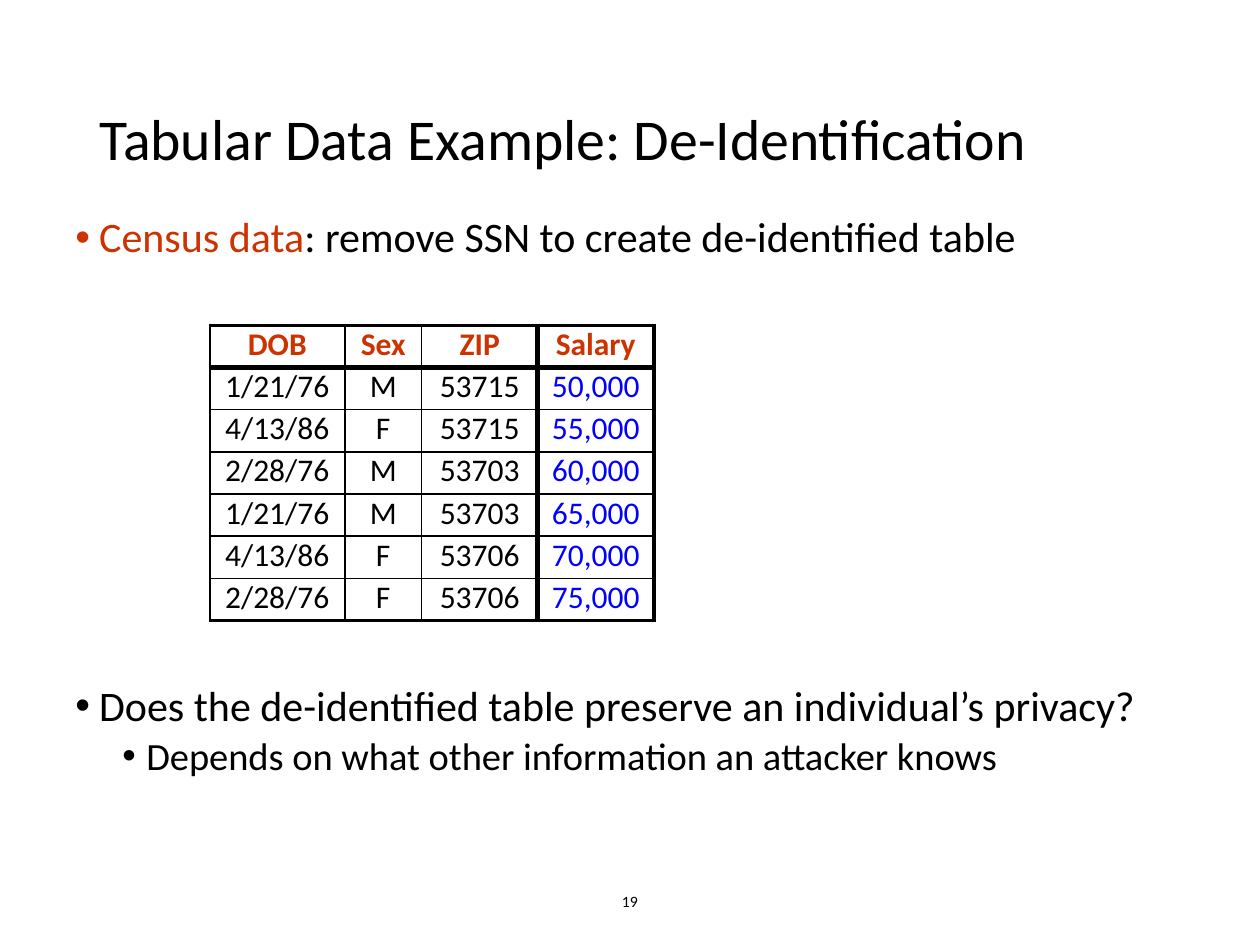
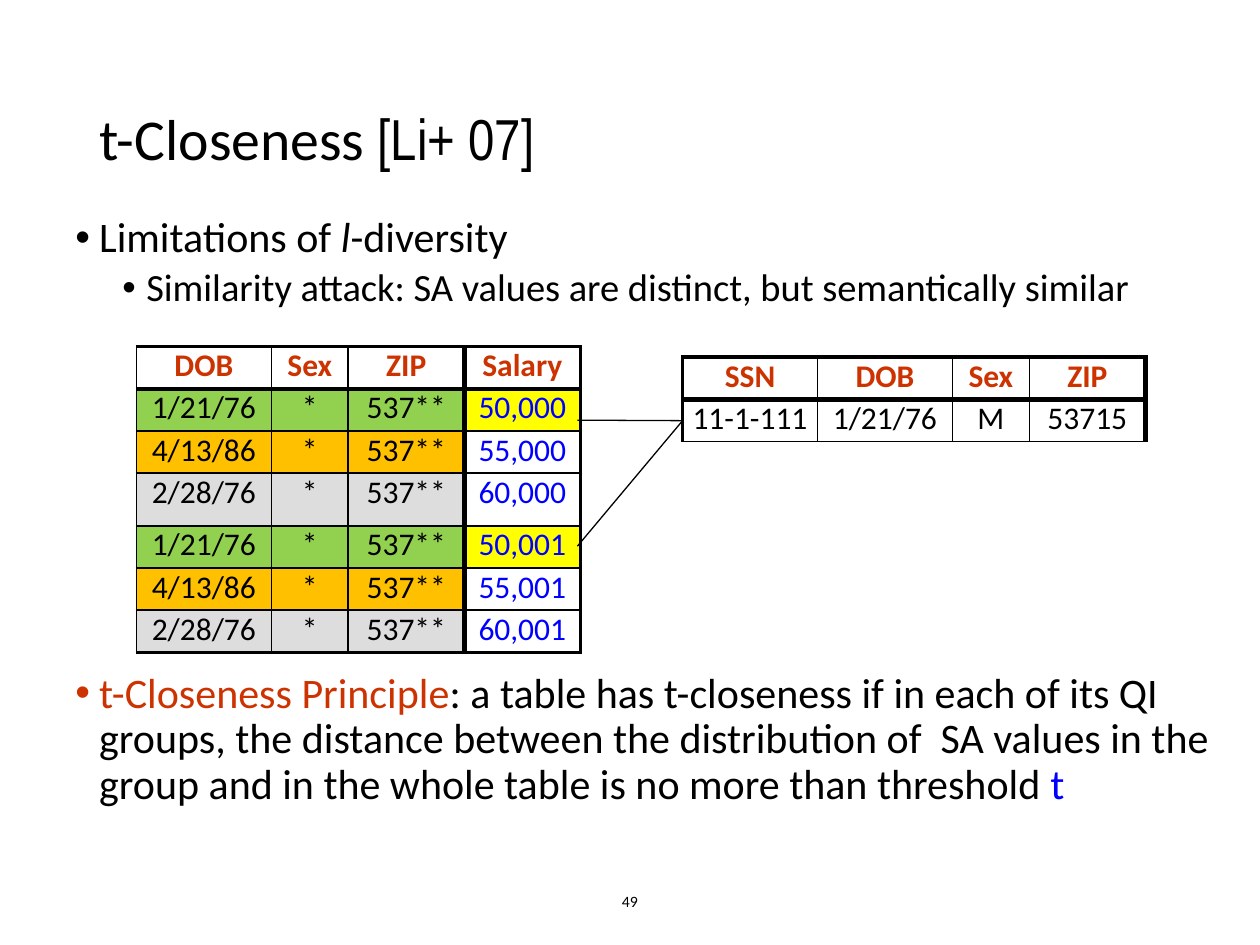
"""Build two slides on table privacy: de-identification and t-closeness."""
from dataclasses import dataclass
from itertools import cycle

from lxml.etree import SubElement as Sub
from pptx import Presentation
from pptx.dml.color import RGBColor as Rgb
from pptx.enum.shapes import MSO_CONNECTOR as Link
from pptx.enum.text import MSO_ANCHOR as Anchor, MSO_AUTO_SIZE as Fit, PP_ALIGN as Align
from pptx.oxml.ns import qn
from pptx.slide import Slide
from pptx.util import Cm, Pt

COLORS = {
    "black": "000000", "red": "CC3300", "blue": "0000FF", "green": "92D050",
    "orange": "FFC000", "gray": "DDDDDD", "yellow": "FFFF00",
}
WIDTHS = {"SSN": 2.72, "DOB": 2.72, "Sex": 1.55, "ZIP": 2.34, "Salary": 2.34}
ROW = 0.85
FACE = "Calibri"


@dataclass
class Run:
    text: str
    color: str = "black"
    italic: bool = False
    font: str = FACE


@dataclass
class Point:
    runs: list[Run]
    level: int = 0
    gap: float = 0


@dataclass
class Grid:
    left: float
    top: float
    heads: list[str]
    rows: list[list[str]]
    walls: list[float]
    base: float
    fills: tuple[str, ...] = ()
    marked: str = ""
    tall: int = 0


@dataclass
class Line:
    start: tuple[float, float]
    end: tuple[float, float]


@dataclass
class Page:
    number: str
    title: list[Run]
    points: list[Point]
    grids: list[Grid]
    lines: list[Line]


def rgb(name: str) -> Rgb:
    return Rgb.from_string(COLORS[name])


def write(para, text: str, *, size: float, color: str = "black",
          bold: bool = False, italic: bool = False, font: str = FACE) -> None:
    run = para.add_run()
    run.text = text
    face = run.font
    face.name, face.size, face.bold, face.italic = font, Pt(size), bold, italic
    face.color.rgb = rgb(color)


def write_runs(para, runs: list[Run], size: float) -> None:
    para.line_spacing = 0.9
    for run in runs:
        write(para, run.text, size=size, color=run.color, italic=run.italic, font=run.font)


def place(shape, left: float, top: float, width: float, height: float) -> None:
    shape.left, shape.top, shape.width, shape.height = map(Cm, (left, top, width, height))


def add_frame(slide: Slide, *box: float):
    frame = slide.shapes.add_textbox(*map(Cm, box)).text_frame
    frame.word_wrap = True
    return frame


def add_title(slide: Slide, runs: list[Run]) -> None:
    title = slide.shapes.title
    place(title, 1.75, 1.02, 21.9, 3.68)
    frame = title.text_frame
    frame.auto_size = Fit.NONE
    frame.vertical_anchor = Anchor.MIDDLE
    para = frame.paragraphs[0]
    para.alignment = Align.LEFT
    write_runs(para, runs, 33)


def add_points(slide: Slide, points: list[Point]) -> None:
    frame = add_frame(slide, 1.27, 4.24, 24.13, 13.77)
    for index, point in enumerate(points):
        para = frame.add_paragraph() if index else frame.paragraphs[0]
        props = para._p.get_or_add_pPr()
        props.set("marL", str(Cm(0.48 + 0.95 * point.level)))
        props.set("indent", str(-Cm(0.48)))
        Sub(props, qn("a:buFont"), typeface="Arial")
        Sub(props, qn("a:buChar"), char="•")
        para.level = point.level
        if index:
            para.space_before = Pt(point.gap)
        write_runs(para, point.runs, 22 if point.level else 24)


def add_edge(cell, side: str, width: float) -> None:
    edge = Sub(cell._tc.get_or_add_tcPr(), qn(f"a:ln{side}"), w=str(Pt(width)))
    Sub(Sub(edge, qn("a:solidFill")), qn("a:srgbClr"), val=COLORS["black"])


def add_grid(slide: Slide, grid: Grid) -> None:
    cells = [grid.heads, *grid.rows]
    count = len(cells)
    widths = [WIDTHS[head] for head in grid.heads]
    floors = [2.25, 3] + [1] * (count - 2) + [grid.base]
    tints = ["", *(tint for tint, _ in zip(cycle(grid.fills or ("",)), grid.rows))]
    table = slide.shapes.add_table(
        count, len(widths), Cm(grid.left), Cm(grid.top), Cm(sum(widths)), Cm(ROW * count)).table
    table.first_row = table.horz_banding = False
    for column, width in zip(table.columns, widths):
        column.width = Cm(width)
    for r, values in enumerate(cells):
        table.rows[r].height = Cm(1.06 if r and r == grid.tall else ROW)
        for c, value in enumerate(values):
            cell = table.cell(r, c)
            cell.margin_left = cell.margin_right = Cm(0.13)
            cell.margin_top = cell.margin_bottom = 0
            edges = (grid.walls[c], grid.walls[c + 1], floors[r], floors[r + 1])
            for side, width in zip("LRTB", edges):
                add_edge(cell, side, width)
            pay = grid.heads[c] == "Salary"
            tint = tints[r]
            if pay:
                tint = "yellow" if tint and tint == grid.marked else ""
            if tint:
                cell.fill.solid()
                cell.fill.fore_color.rgb = rgb(tint)
            else:
                cell.fill.background()
            para = cell.text_frame.paragraphs[0]
            para.alignment = Align.CENTER
            color = "red" if r == 0 else "blue" if pay else "black"
            write(para, value, size=18, color=color, bold=r == 0)


def add_line(slide: Slide, line: Line) -> None:
    link = slide.shapes.add_connector(Link.STRAIGHT, *map(Cm, (*line.start, *line.end)))
    link.line.color.rgb = rgb("black")
    link.line.width = Pt(0.75)
    Sub(link._element.spPr, qn("a:effectLst"))


def add_number(slide: Slide, number: str) -> None:
    frame = add_frame(slide, 8.41, 17.65, 8.58, 1.02)
    frame.vertical_anchor = Anchor.MIDDLE
    para = frame.paragraphs[0]
    para.alignment = Align.CENTER
    write(para, number, size=9)


def add_page(deck, page: Page) -> None:
    slide = deck.slides.add_slide(deck.slide_layouts[5])
    add_number(slide, page.number)
    add_title(slide, page.title)
    add_points(slide, page.points)
    for grid in page.grids:
        add_grid(slide, grid)
    for line in page.lines:
        add_line(slide, line)


HEADS = ["DOB", "Sex", "ZIP", "Salary"]
WALLS = [1, 1, 1, 3, 2.25]
DATES = ["1/21/76", "4/13/86", "2/28/76"] * 2
ZIPS = ["53715", "53715", "53703", "53703", "53706", "53706"]
PAYS = ["50,000", "55,000", "60,000", "65,000", "70,000", "75,000"]
NEAR = ["50,000", "55,000", "60,000", "50,001", "55,001", "60,001"]
FORK = (13.76, 8.48)

PAGES = [
    Page(
        "19",
        [Run("Tabular Data Example: De-Identification")],
        [
            Point([Run("Census data", "red"),
                   Run(": remove SSN to create de-identified table")]),
            Point([Run("Does the de-identified table preserve an individual’s privacy?")],
                  gap=241.8),
            Point([Run("Depends on what other information an attacker knows")], 1, 3.8),
        ],
        [Grid(4.23, 6.56, HEADS, [list(row) for row in zip(DATES, "MFMMFF", ZIPS, PAYS)],
              WALLS, 2.25)],
        [],
    ),
    Page(
        "49",
        [Run("t-Closeness "), Run("[Li+ 07]", font="Arial Narrow")],
        [
            Point([Run("Limitations of "), Run("l", italic=True), Run("-diversity")]),
            Point([Run("Similarity attack: SA values are distinct, but semantically similar")],
                  1, 3.8),
            Point([Run("t-Closeness Principle", "red"),
                   Run(": a table has t-closeness if in each of its QI groups, the distance "
                       "between the distribution of  SA values in the group and in the whole "
                       "table is no more than threshold "),
                   Run("t", "blue")], gap=207),
        ],
        [
            Grid(2.75, 6.99, HEADS, [[date, "*", "537**", pay] for date, pay in zip(DATES, NEAR)],
                 WALLS, 2.25, ("green", "orange", "gray"), "green", 3),
            Grid(13.76, 7.2, ["SSN", "DOB", "Sex", "ZIP"],
                 [["11-1-111", "1/21/76", "M", "53715"]], [2.25, 1, 1, 1, 3], 1),
        ],
        [Line((11.64, 8.47), FORK), Line((11.64, 11.01), FORK)],
    ),
]


def main() -> None:
    deck = Presentation()
    deck.slide_width, deck.slide_height = Cm(25.4), Cm(19.05)
    for page in PAGES:
        add_page(deck, page)
    deck.save("out.pptx")


if __name__ == "__main__":
    main()
